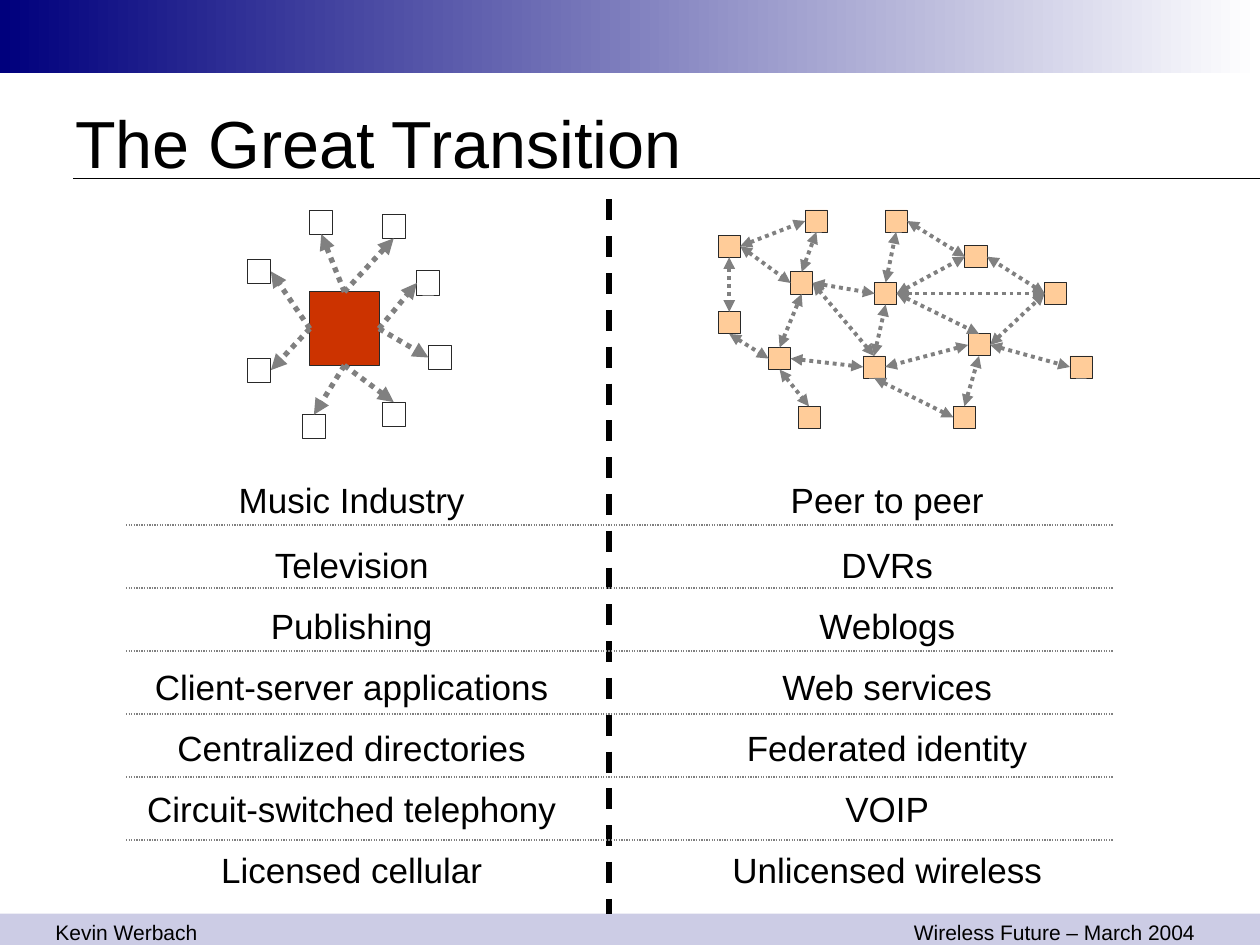
from lxml.etree import SubElement
from pptx import Presentation
from pptx.dml.color import RGBColor
from pptx.enum.dml import MSO_LINE as DASH
from pptx.enum.shapes import MSO_CONNECTOR as LINK, MSO_SHAPE as SHAPE
from pptx.enum.text import MSO_ANCHOR as ANCHOR, PP_ALIGN as ALIGN
from pptx.oxml.ns import qn
from pptx.util import Inches, Pt

NAVY = RGBColor(0x00, 0x00, 0x7D)
WHITE = RGBColor(0xFF, 0xFF, 0xFF)
BLACK = RGBColor(0x00, 0x00, 0x00)
GRAY = RGBColor(0x80, 0x80, 0x80)
OUTLINE = RGBColor(0x29, 0x29, 0x29)
RED = RGBColor(0xCC, 0x33, 0x00)
PEACH = RGBColor(0xFF, 0xCC, 0x99)
TOP, LEFT, BOTTOM, RIGHT = range(4)

# Grid of 120 columns by 90 rows, square cells
COLS, ROWS = 120, 90
prs = Presentation()
prs.slide_width, prs.slide_height = Inches(10), Inches(7.5)
CELL = prs.slide_width / COLS
slide = prs.slides.add_slide(prs.slide_layouts[6])
shapes = slide.shapes


def add_text(text, col, row, cols, rows, size, align=ALIGN.LEFT, anchor=ANCHOR.TOP):
    box = shapes.add_textbox(*(round(n * CELL) for n in (col, row, cols, rows)))
    frame = box.text_frame
    frame.word_wrap = True
    frame.vertical_anchor = anchor
    paragraph = frame.paragraphs[0]
    paragraph.text = text
    paragraph.alignment = align
    paragraph.font.name = "Arial"
    paragraph.font.size = Pt(size)
    paragraph.font.color.rgb = BLACK


def add_line(ends, color, width, dash=None, arrows=()):
    line = shapes.add_connector(LINK.STRAIGHT, *(round(n * CELL) for n in ends))
    line.line.color.rgb = color
    line.line.width = Pt(width)
    if dash:
        line.line.dash_style = dash
    properties = line._element.spPr
    for arrow in arrows:
        SubElement(properties.find(qn("a:ln")), qn(arrow), type="triangle")
    SubElement(properties, qn("a:effectLst"))
    return line


# Header and footer bands
header, footer = [
    shapes.add_shape(SHAPE.RECTANGLE, 0, round(row * CELL), prs.slide_width, round(rows * CELL))
    for row, rows in [(0, 7), (87, 3)]
]
for band in (header, footer):
    band.shadow.inherit = False
    band.line.fill.background()
header.fill.gradient()
header.fill.gradient_angle = 0
for stop, color in zip(header.fill.gradient_stops, (NAVY, WHITE)):
    stop.color.rgb = color
footer.fill.solid()
footer.fill.fore_color.rgb = NAVY
footer_color = footer._element.spPr.find(qn("a:solidFill"))[0]
SubElement(footer_color, qn("a:alpha"), val="20000")

add_text("Wireless Future – March 2004", 82, 87, 33, 3, 12, ALIGN.RIGHT)
add_text("Kevin Werbach", 4.1, 87, 16.5, 3, 12)

# Title, its rule and the divider between the two worlds
add_line((7, 17, COLS, 17), BLACK, 0.75)
add_text("The Great Transition", 6, 6, 108, 15, 38, anchor=ANCHOR.MIDDLE)
add_line((58, 19, 58, 87), BLACK, 3, DASH.DASH)

# Squares of both networks: left column and top row
peer_places = {
    "A": (84.3, 20), "B": (76.7, 20), "C": (91.9, 23.4), "D": (99.5, 26.9),
    "E": (101.9, 33.9), "F": (90.8, 38.7), "G": (92.2, 31.8), "H": (83.3, 26.9),
    "I": (75.3, 25.9), "J": (68.4, 29.7), "K": (82.2, 33.9), "L": (73.2, 33.1),
    "M": (76, 38.7), "N": (68.4, 22.4),
}
# Client place, side of the hub, side of the client
clients = [
    (29.5, 20, TOP, BOTTOM), (36.4, 20.4, TOP, BOTTOM),
    (39.7, 25.8, RIGHT, LEFT), (40.8, 32.9, RIGHT, LEFT),
    (36.4, 38.3, BOTTOM, TOP), (28.8, 39.5, BOTTOM, TOP),
    (23.6, 34.1, LEFT, RIGHT), (23.6, 24.7, LEFT, RIGHT),
]
squares = {name: (*place, 2.1, 2.1, PEACH) for name, place in peer_places.items()}
squares["hub"] = (29.5, 27.8, 6.6, 7, RED)
for number, (col, row, *sides) in enumerate(clients):
    squares[number] = (col, row, 2.2, 2.3, WHITE)

nodes = {}
for name, (*place, color) in squares.items():
    node = shapes.add_shape(SHAPE.RECTANGLE, *(round(n * CELL) for n in place))
    node.shadow.inherit = False
    node.fill.solid()
    node.fill.fore_color.rgb = color
    node.line.color.rgb = OUTLINE
    node.line.width = Pt(0.5)
    nodes[name] = node

# Links: start, its side, end, its side
peer_links = [
    ("N", RIGHT, "B", LEFT), ("N", RIGHT, "I", LEFT), ("N", BOTTOM, "J", TOP),
    ("J", BOTTOM, "L", LEFT), ("L", BOTTOM, "M", TOP), ("L", TOP, "I", BOTTOM),
    ("I", TOP, "B", BOTTOM), ("L", RIGHT, "K", LEFT), ("K", TOP, "H", BOTTOM),
    ("H", TOP, "A", BOTTOM), ("I", RIGHT, "H", LEFT), ("A", RIGHT, "C", LEFT),
    ("H", RIGHT, "C", LEFT), ("H", RIGHT, "G", TOP), ("G", LEFT, "K", RIGHT),
    ("K", TOP, "I", RIGHT), ("K", BOTTOM, "F", LEFT), ("F", TOP, "G", BOTTOM),
    ("G", RIGHT, "E", LEFT), ("G", RIGHT, "D", LEFT), ("D", LEFT, "C", RIGHT),
    ("H", RIGHT, "D", LEFT),
]
hub_links = [("hub", hub_side, number, side)
             for number, (col, row, hub_side, side) in enumerate(clients)]
for links, width, arrows in [(peer_links, 2.25, ("a:headEnd", "a:tailEnd")),
                             (hub_links, 3, ("a:tailEnd",))]:
    for start, start_side, end, end_side in links:
        link = add_line((0, 0, 1, 1), GRAY, width, DASH.ROUND_DOT, arrows)
        link.begin_connect(nodes[start], start_side)
        link.end_connect(nodes[end], end_side)

# Paired examples, with a dotted rule under each pair but the last
pairs = [
    ("Music Industry", "Peer to peer"),
    ("Television", "DVRs"),
    ("Publishing", "Weblogs"),
    ("Client-server applications", "Web services"),
    ("Centralized directories", "Federated identity"),
    ("Circuit-switched telephony", "VOIP"),
    ("Licensed cellular", "Unlicensed wireless"),
]
for index, pair in enumerate(pairs):
    row = 45.4 + 5.8 * index if index else 45
    for text, col in zip(pair, (11, 62)):
        add_text(text, col, row, 45, 5.25, 20, ALIGN.CENTER)
for index in range(len(pairs) - 1):
    rule_row = 50 + 6 * index
    add_line((12, rule_row, 106, rule_row), GRAY, 0.75, DASH.ROUND_DOT)

prs.save("out.pptx")
